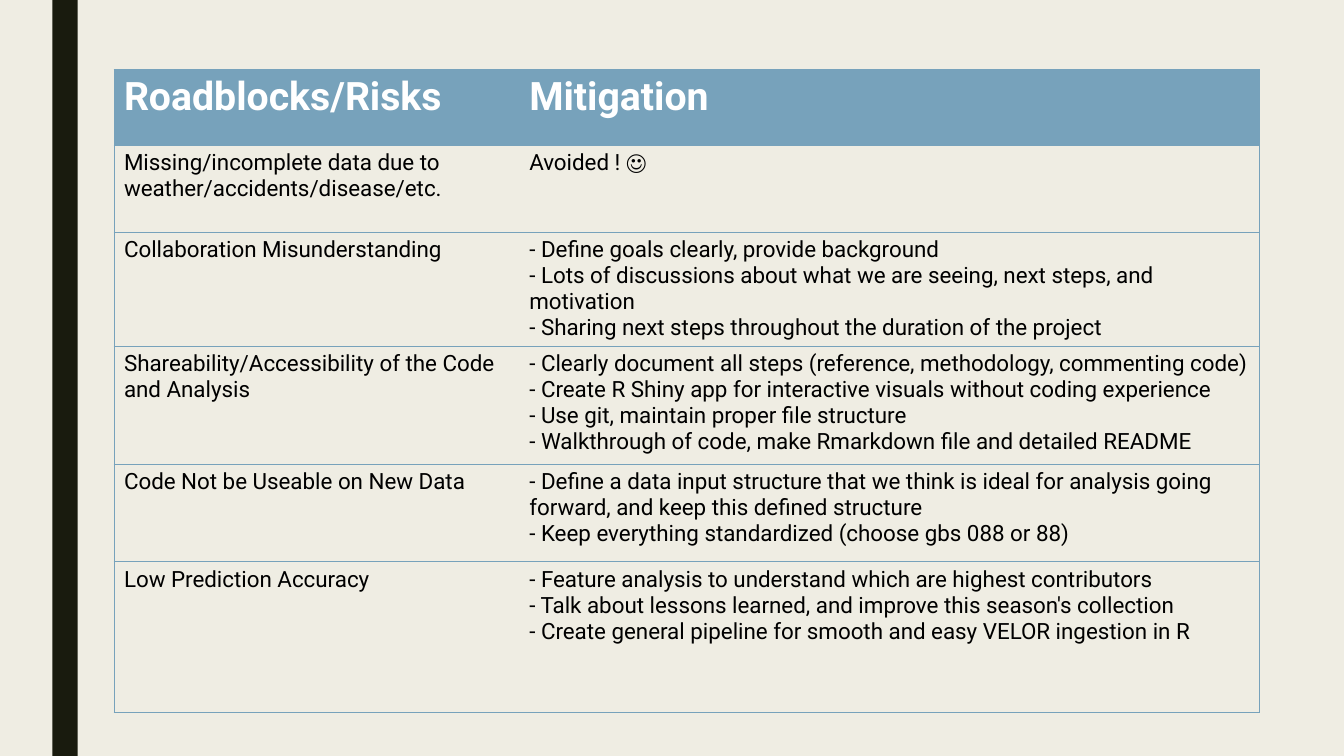
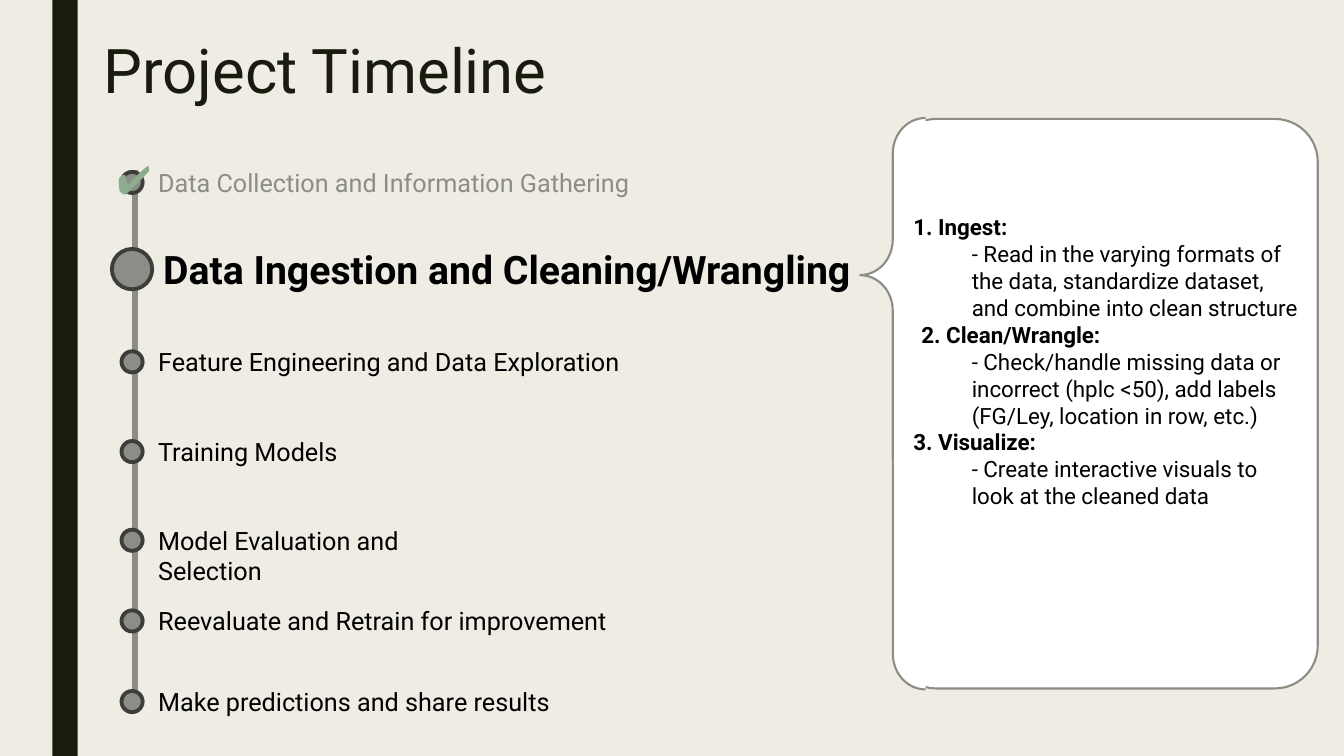
"""Build the risk table and project timeline slides."""

from dataclasses import dataclass

from lxml.etree import SubElement
from pptx import Presentation
from pptx.dml.color import RGBColor
from pptx.enum.shapes import MSO_CONNECTOR, MSO_SHAPE
from pptx.oxml.ns import qn
from pptx.presentation import Presentation as Deck
from pptx.shapes.autoshape import Shape
from pptx.slide import Slide
from pptx.table import _Cell as Cell
from pptx.text.text import TextFrame, _Paragraph as Paragraph
from pptx.util import Inches, Pt


@dataclass(frozen=True)
class Theme:
    font: str = "Roboto"
    background: str = "EFEDE3"
    dark: str = "191B0E"
    blue: str = "77A2BB"
    gray: str = "8C8D86"
    ring: str = "3D3E3B"
    green: str = "8DAB8E"
    white: str = "FFFFFF"
    black: str = "000000"
    title_size: float = 44
    heading_size: float = 28
    label_size: float = 18
    body_size: float = 16
    border_width: float = 0.5
    outline_width: float = 1.5
    ring_width: float = 2.75
    track_width: float = 4.5


THEME = Theme()
PLAIN_TABLE_STYLE = "{2D5ABB26-0587-4C30-8999-92F81FD0307C}"


@dataclass(frozen=True)
class Style:
    size: float
    color: str = THEME.black
    bold: bool = False


TITLE = Style(THEME.title_size, THEME.dark)
TABLE_HEADING = Style(THEME.heading_size, THEME.white, True)
BODY = Style(THEME.body_size)
BODY_BOLD = Style(THEME.body_size, bold=True)
LABEL = Style(THEME.label_size)
DONE_LABEL = Style(THEME.label_size, THEME.gray)
CURRENT_LABEL = Style(THEME.heading_size, bold=True)
CHECK = Style(THEME.heading_size, THEME.green, True)


@dataclass(frozen=True)
class Area:
    left: float
    top: float
    width: float
    height: float

    def lengths(self) -> tuple[Inches, Inches, Inches, Inches]:
        return Inches(self.left), Inches(self.top), Inches(self.width), Inches(self.height)


@dataclass(frozen=True)
class Risk:
    height: float
    name: str
    mitigation: tuple[str, ...]
    style: Style = BODY


@dataclass(frozen=True)
class Milestone:
    center: float
    text: str
    style: Style = LABEL
    label_left: float = 1.47
    label_width: float = 5.42
    label_height: float = 0.4
    dot: float = 0.21


@dataclass(frozen=True)
class Step:
    heading: str
    detail: str
    indent: float = 0


RISKS = (
    Risk(0.75, "Roadblocks/Risks", ("Mitigation",), TABLE_HEADING),
    Risk(0.86, "Missing/incomplete data due to weather/accidents/disease/etc.", ("Avoided ! ☺",)),
    Risk(1.09, "Collaboration Misunderstanding", (
        "- Define goals clearly, provide background",
        "- Lots of discussions about what we are seeing, next steps, and motivation",
        "- Sharing next steps throughout the duration of the project",
    )),
    Risk(1.17, "Shareability/Accessibility of the Code and Analysis", (
        "- Clearly document all steps (reference, methodology, commenting code)",
        "- Create R Shiny app for interactive visuals without coding experience",
        "- Use git, maintain proper file structure",
        "- Walkthrough of code, make Rmarkdown file and detailed README",
    )),
    Risk(0.97, "Code Not be Useable on New Data", (
        "- Define a data input structure that we think is ideal for analysis going forward, "
        "and keep this defined structure",
        "- Keep everything standardized (choose gbs 088 or 88)",
    )),
    Risk(1.49, "Low Prediction Accuracy", (
        "- Feature analysis to understand which are highest contributors",
        "- Talk about lessons learned, and improve this season's collection",
        "- Create general pipeline for smooth and easy VELOR ingestion in R",
    )),
)

MILESTONES = (
    Milestone(1.81, "Data Collection and Information Gathering", DONE_LABEL),
    Milestone(2.67, "Data Ingestion and Cleaning/Wrangling", CURRENT_LABEL, 1.52, 7.79, 0.57, 0.4),
    Milestone(3.59, "Feature Engineering and Data Exploration"),
    Milestone(4.48, "Training Models", label_width=3.62),
    Milestone(5.36, "Model Evaluation and Selection", label_width=3.62),
    Milestone(6.16, "Reevaluate and Retrain for improvement"),
    Milestone(6.96, "Make predictions and share results"),
)

STEPS = (
    Step("1. Ingest:", "- Read in the varying formats of the data, standardize dataset, "
         "and combine into clean structure"),
    Step("2. Clean/Wrangle:", "- Check/handle missing data or incorrect (hplc <50), add labels "
         "(FG/Ley, location in row, etc.)", 0.08),
    Step("3. Visualize:", "- Create interactive visuals to look at the cleaned data"),
)


def rgb(color: str) -> RGBColor:
    """Turn a hex string into a colour."""
    return RGBColor.from_string(color)


def add_span(para: Paragraph, text: str, style: Style) -> None:
    """Add one styled run to a paragraph."""
    span = para.add_run()
    span.text = text
    span.font.name = THEME.font
    span.font.size = Pt(style.size)
    span.font.bold = style.bold
    span.font.color.rgb = rgb(style.color)


def next_paragraph(frame: TextFrame) -> Paragraph:
    """Return the first paragraph while it is empty, else a new one."""
    first = frame.paragraphs[0]
    return frame.add_paragraph() if first.runs else first


def add_box(slide: Slide, area: Area) -> TextFrame:
    """Add a wrapping text box and return its frame."""
    frame = slide.shapes.add_textbox(*area.lengths()).text_frame
    frame.word_wrap = True
    return frame


def add_label(slide: Slide, area: Area, text: str, style: Style) -> Paragraph:
    """Add a text box holding one paragraph."""
    para = add_box(slide, area).paragraphs[0]
    add_span(para, text, style)
    return para


def add_figure(slide: Slide, kind: MSO_SHAPE, area: Area, fill: str,
               line: str = "", width: float = 0) -> Shape:
    """Add a flat preset shape with an optional outline."""
    shape = slide.shapes.add_shape(kind, *area.lengths())
    shape.shadow.inherit = False
    shape.fill.solid()
    shape.fill.fore_color.rgb = rgb(fill)
    if line:
        shape.line.color.rgb = rgb(line)
        shape.line.width = Pt(width)
    else:
        shape.line.fill.background()
    return shape


def add_page(deck: Deck) -> Slide:
    """Add a blank page with the shared background and side band."""
    page = deck.slides.add_slide(deck.slide_layouts[6])
    page.background.fill.solid()
    page.background.fill.fore_color.rgb = rgb(THEME.background)
    add_figure(page, MSO_SHAPE.RECTANGLE, Area(0.52, 0, 0.25, 7.5), THEME.dark)
    return page


def add_borders(cell: Cell, sides: tuple[str, ...]) -> None:
    """Draw thin borders on the named sides of a cell."""
    properties = cell._tc.get_or_add_tcPr()
    for side in sides:
        line = SubElement(properties, qn(f"a:ln{side}"), w=str(Pt(THEME.border_width)))
        fill = SubElement(line, qn("a:solidFill"))
        SubElement(fill, qn("a:srgbClr"), val=THEME.blue)


def fill_cell(cell: Cell, lines: tuple[str, ...], style: Style, outer_side: str) -> None:
    """Write, border and fill one table cell."""
    for line in lines:
        add_span(next_paragraph(cell.text_frame), line, style)
    add_borders(cell, (outer_side, "T", "B"))
    if style is TABLE_HEADING:
        cell.fill.solid()
        cell.fill.fore_color.rgb = rgb(THEME.blue)
    else:
        cell.fill.background()


def build_risks(deck: Deck) -> None:
    """Build the risks and mitigation table."""
    page = add_page(deck)
    area = Area(1.13, 0.69, 11.36, sum(risk.height for risk in RISKS))
    table = page.shapes.add_table(len(RISKS), 2, *area.lengths()).table
    table._tbl.tblPr.find(qn("a:tableStyleId")).text = PLAIN_TABLE_STYLE
    for column, width in zip(table.columns, (4.02, 7.34)):
        column.width = Inches(width)
    for row, risk in zip(table.rows, RISKS):
        row.height = Inches(risk.height)
        fill_cell(row.cells[0], (risk.name,), risk.style, "L")
        fill_cell(row.cells[1], risk.mitigation, risk.style, "R")


def add_milestone(page: Slide, milestone: Milestone) -> None:
    """Draw a dot and its label on the same centre line."""
    dot = milestone.dot
    add_figure(page, MSO_SHAPE.OVAL, Area(1.31 - dot / 2, milestone.center - dot / 2, dot, dot),
               THEME.gray, THEME.ring, THEME.ring_width)
    area = Area(milestone.label_left, milestone.center - milestone.label_height / 2,
                milestone.label_width, milestone.label_height)
    add_label(page, area, milestone.text, milestone.style)


def add_track(page: Slide) -> None:
    """Draw the vertical timeline."""
    track = page.shapes.add_connector(MSO_CONNECTOR.STRAIGHT, Inches(1.34), Inches(1.69),
                                      Inches(1.34), Inches(7.06))
    track.line.color.rgb = rgb(THEME.gray)
    track.line.width = Pt(THEME.track_width)
    SubElement(track._element.spPr, qn("a:effectLst"))


def add_callout(page: Slide) -> None:
    """Draw the brace and the list of steps inside the panel."""
    brace = add_figure(page, MSO_SHAPE.LEFT_BRACE, Area(8.53, 1.17, 0.65, 5.67),
                       THEME.white, THEME.gray, THEME.outline_width)
    brace.adjustments[0] = 0.543
    brace.adjustments[1] = 0.275
    frame = add_box(page, Area(8.96, 2.07, 4.05, 3.37))
    for step in STEPS:
        for text, style, indent in ((step.heading, BODY_BOLD, step.indent),
                                    (step.detail, BODY, 0.58)):
            para = next_paragraph(frame)
            para._p.get_or_add_pPr().set("marL", str(Inches(indent)))
            add_span(para, text, style)


def build_timeline(deck: Deck) -> None:
    """Build the project timeline."""
    page = add_page(deck)
    panel = add_figure(page, MSO_SHAPE.ROUNDED_RECTANGLE, Area(8.86, 1.18, 4.21, 5.65),
                       THEME.white, THEME.gray, THEME.outline_width)
    panel.adjustments[0] = 0.101
    title = add_label(page, Area(0.93, 0.36, 10.5, 1.62), "Project Timeline", TITLE)
    title.line_spacing = 0.89
    add_track(page)
    for milestone in MILESTONES:
        add_milestone(page, milestone)
    add_label(page, Area(1.06, 1.49, 0.88, 0.57), "✔️", CHECK)
    add_callout(page)


def main() -> None:
    """Build and save the deck."""
    deck = Presentation()
    deck.slide_width = Inches(13.33)
    deck.slide_height = Inches(7.5)
    build_risks(deck)
    build_timeline(deck)
    deck.save("out.pptx")


if __name__ == "__main__":
    main()
